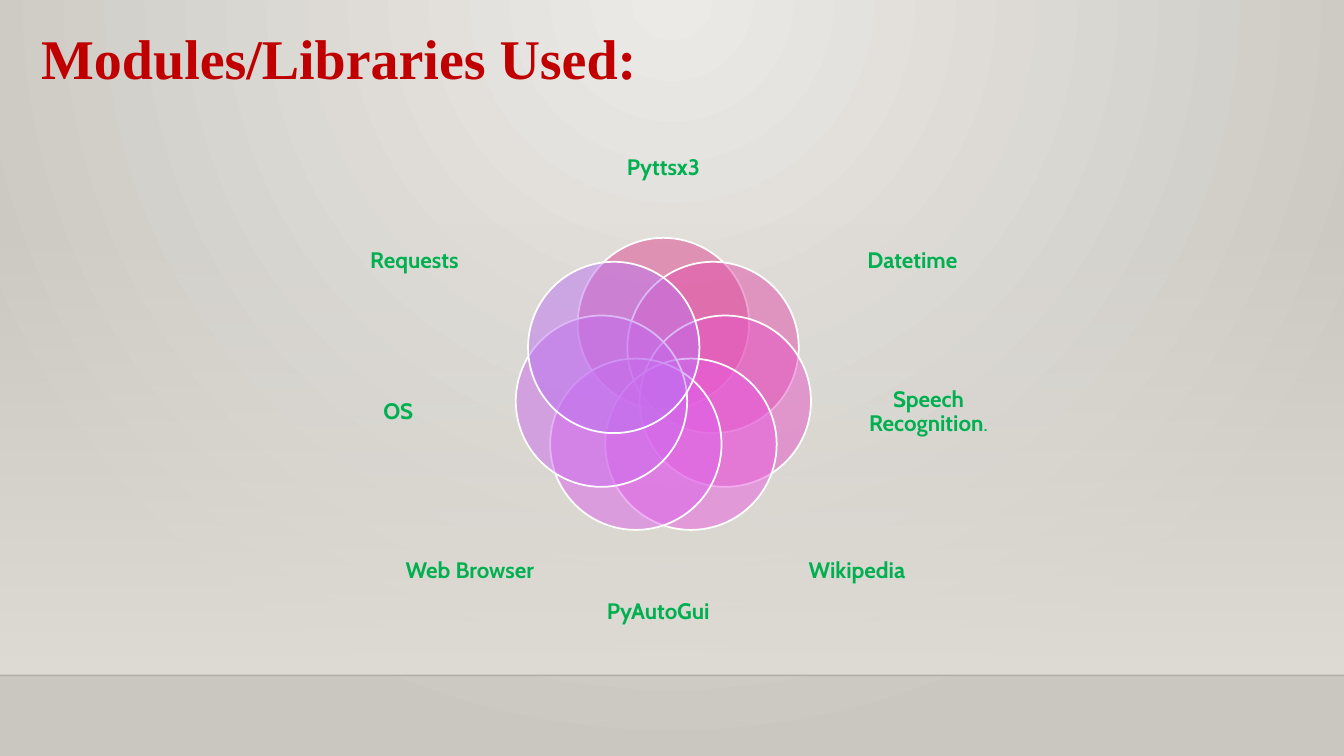
from math import cos, pi, sin

from lxml.etree import SubElement as Sub
from pptx import Presentation
from pptx.dml.color import RGBColor as Rgb
from pptx.enum.shapes import MSO_CONNECTOR as Link
from pptx.enum.shapes import MSO_SHAPE as Form
from pptx.enum.text import MSO_ANCHOR as Anchor
from pptx.enum.text import MSO_AUTO_SIZE as Auto
from pptx.enum.text import PP_ALIGN as Align
from pptx.oxml.ns import qn
from pptx.util import Inches, Pt

WIDE, HIGH = 13.33, 7.5
FLOOR = 6.7                 # height of the floor line
MID_X, MID_Y = 6.58, 3.84   # centre of the flower
RING, SIZE = 0.63, 1.7      # ring radius, petal diameter

HEAD = {"size": Pt(40), "name": "Times New Roman", "bold": True}
LABEL = {"size": Pt(16), "name": "Cabin", "bold": True}
PLAIN = {**LABEL, "bold": False}
GREEN, RED = "00B050", "C00000"
GROW = {"auto_size": Auto.SHAPE_TO_FIT_TEXT}
TIGHT = {"vertical_anchor": Anchor.MIDDLE, "margin_left": 0,
         "margin_right": 0, "margin_top": 0, "margin_bottom": 0}
MIDDLE = {"alignment": Align.CENTER, "line_spacing": 0.9}

# Label boxes: top one, then the right side; the left side mirrors it
TOP = (5.61, 1.15, 1.94, 1.04)
SIDE = [(8.13, 2.02, 1.84, 1.14), (8.31, 3.48, 1.8, 1.22),
        (7.53, 5.11, 1.94, 1.12)]

# Petals clockwise from the top
PETALS = [("Pyttsx3", "DE478E"), ("Datetime", "E14EAA"),
          ("Speech Recognition", "E555C6"), ("Wikipedia", "E85CE0"),
          ("Web Browser", "DD63EB"), ("OS", "CC6AED"),
          ("Requests", "BC72F0")]


def color(code):
    return Rgb.from_string(code)


def style(item, form):
    for key, val in form.items():
        setattr(item, key, val)


def fade(node, part):
    """Set the opacity, in percent, of the first colour in a node."""
    tint = next(node.iter(qn("a:srgbClr")))
    Sub(tint, qn("a:alpha"), val=str(part * 1000))


def blend(fill, codes):
    fill.gradient()
    for stop, code in zip(fill.gradient_stops, codes):
        stop.color.rgb = color(code)


def add_text(slide, box, runs, tint, frame, para=None):
    area = slide.shapes.add_textbox(*map(Inches, box)).text_frame
    area.word_wrap = True
    style(area, frame)
    line = area.paragraphs[0]
    style(line, para or {})
    for words, font in runs:
        run = line.add_run()
        run.text = words
        style(run.font, font)
        run.font.color.rgb = color(tint)


def add_form(slide, kind, box):
    form = slide.shapes.add_shape(kind, *map(Inches, box))
    form.shadow.inherit = False
    return form


def add_petal(slide, turn, tint):
    left = MID_X + RING * sin(turn) - SIZE / 2
    top = MID_Y - RING * cos(turn) - SIZE / 2
    disc = add_form(slide, Form.OVAL, (left, top, SIZE, SIZE))
    disc.fill.solid()
    disc.fill.fore_color.rgb = color(tint)
    fade(disc.element.spPr, 50)
    disc.line.color.rgb = color("FFFFFF")
    disc.line.width = Pt(1.25)


def add_back(slide):
    # Radial backdrop, centred on the top edge
    blend(slide.background.fill, ("ECEAE7", "CAC7C1"))
    grad = next(slide.element.iter(qn("a:gradFill")))
    grad.remove(grad.find(qn("a:lin")))
    way = Sub(grad, qn("a:path"), {"path": "circle"})
    Sub(way, qn("a:fillToRect"), l="43000", t="0", r="43000", b="100000")

    # Wall that fades in downwards
    wall = add_form(slide, Form.RECTANGLE, (0, 2.21, WIDE, FLOOR - 2.21))
    blend(wall.fill, ("DFDBD5", "DFDBD5"))
    wall.fill.gradient_angle = 270
    fade(wall.element.spPr, 0)
    wall.line.fill.background()

    # Floor line
    edge = slide.shapes.add_connector(
        Link.STRAIGHT, 0, Inches(FLOOR), Inches(WIDE), Inches(FLOOR))
    edge.line.color.rgb = color("000001")
    edge.line.width = Pt(1)
    fade(edge.element.spPr, 20)
    Sub(edge.element.spPr, qn("a:effectLst"))


def add_flower(slide):
    left = [(2 * MID_X - x - w, y, w, h) for x, y, w, h in reversed(SIDE)]
    boxes = [TOP, *SIDE, *left]
    for i, ((name, tint), box) in enumerate(zip(PETALS, boxes)):
        add_petal(slide, 2 * pi * i / len(PETALS), tint)
        runs = [(name, LABEL)]
        if name == "Speech Recognition":
            runs.append((".", PLAIN))
        add_text(slide, box, runs, GREEN, TIGHT, MIDDLE)


def main():
    deck = Presentation()
    deck.slide_width, deck.slide_height = Inches(WIDE), Inches(HIGH)
    slide = deck.slides.add_slide(deck.slide_layouts[6])
    add_back(slide)
    add_text(slide, (0.31, 0.18, 6.71, 0.77),
             [("Modules/Libraries Used:", HEAD)], RED, GROW)
    add_flower(slide)
    add_text(slide, (5.92, 5.88, 1.51, 0.37),
             [("PyAutoGui", LABEL)], GREEN, GROW)
    deck.save("out.pptx")


if __name__ == "__main__":
    main()
